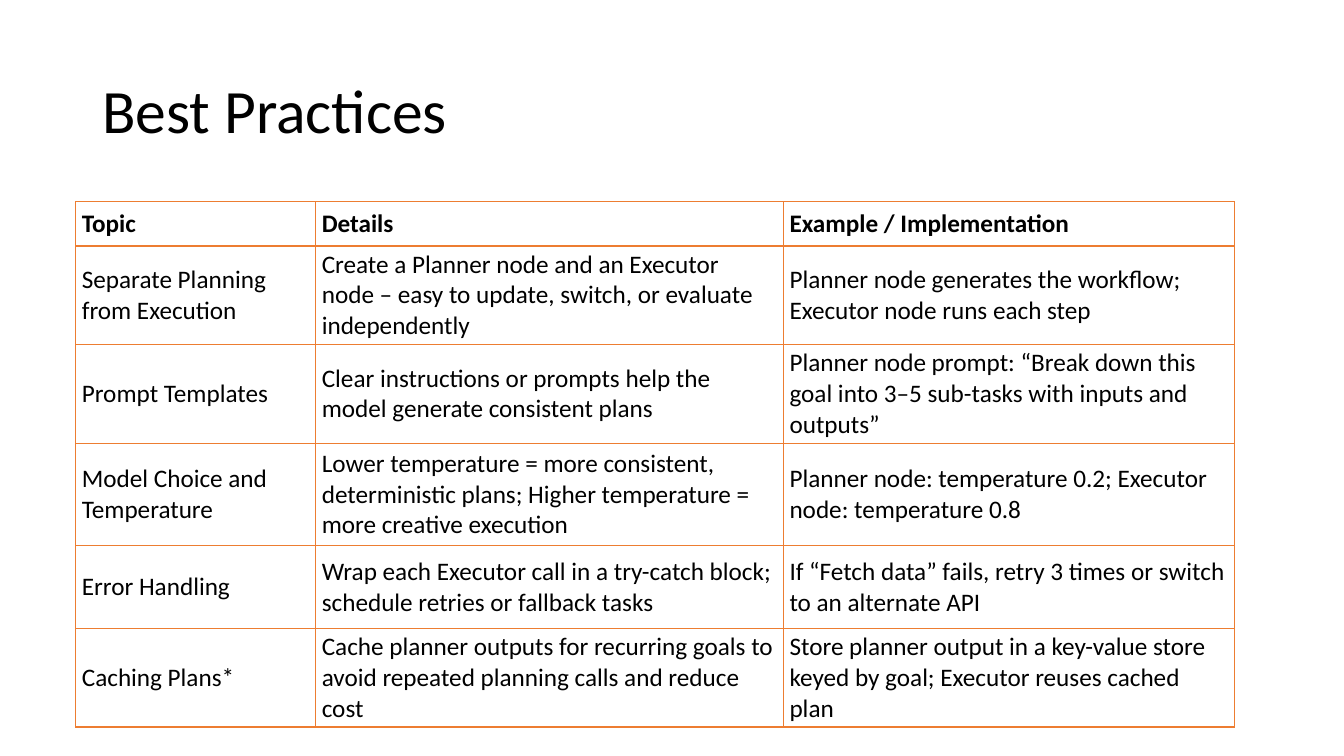
from typing import NamedTuple

from lxml.etree import SubElement
from pptx import Presentation
from pptx.dml.color import RGBColor
from pptx.enum.text import MSO_ANCHOR, PP_ALIGN
from pptx.oxml.ns import qn
from pptx.util import Pt

FONT = "Calibri"
TEXT_COLOUR = "000000"
BORDER_COLOUR = "ED7D31"
BORDER_WIDTH = Pt(1)
COLUMN_WIDTHS = (171.4, 334.1, 322.5)


class Practice(NamedTuple):
    topic: str
    details: str
    example: str
    height: float = 59


PRACTICES = [
    Practice("Topic", "Details", "Example / Implementation", 31.7),
    Practice(
        "Separate Planning from Execution",
        "Create a Planner node and an Executor node – easy to update, switch, or evaluate independently",
        "Planner node generates the workflow; Executor node runs each step",
    ),
    Practice(
        "Prompt Templates",
        "Clear instructions or prompts help the model generate consistent plans",
        "Planner node prompt: “Break down this goal into 3–5 sub-tasks with inputs and outputs”",
    ),
    Practice(
        "Model Choice and Temperature",
        "Lower temperature = more consistent, deterministic plans; Higher temperature = more creative execution",
        "Planner node: temperature 0.2; Executor node: temperature 0.8",
        73.4,
    ),
    Practice(
        "Error Handling",
        "Wrap each Executor call in a try-catch block; schedule retries or fallback tasks",
        "If “Fetch data” fails, retry 3 times or switch to an alternate API",
    ),
    Practice(
        "Caching Plans*",
        "Cache planner outputs for recurring goals to avoid repeated planning calls and reduce cost",
        "Store planner output in a key-value store keyed by goal; Executor reuses cached plan",
    ),
]


def set_colour(target, value: str) -> None:
    target.rgb = RGBColor.from_string(value)


def format_text(text_frame, size: float, bold: bool = False) -> None:
    for para in text_frame.paragraphs:
        para.alignment = PP_ALIGN.LEFT
        for span in para.runs:
            span.font.name = FONT
            span.font.size = Pt(size)
            span.font.bold = bold
            set_colour(span.font.color, TEXT_COLOUR)


def add_borders(cell) -> None:
    properties = cell._tc.get_or_add_tcPr()
    for position, side in enumerate(("lnL", "lnR", "lnT", "lnB")):
        line = SubElement(properties, qn(f"a:{side}"), w=str(BORDER_WIDTH))
        fill = SubElement(line, qn("a:solidFill"))
        SubElement(fill, qn("a:srgbClr"), val=BORDER_COLOUR)
        properties.insert(position, line)


def fill_cell(cell, text: str, bold: bool) -> None:
    cell.text_frame.text = text
    cell.vertical_anchor = MSO_ANCHOR.MIDDLE
    cell.margin_left = cell.margin_right = Pt(4.5)
    cell.margin_top = cell.margin_bottom = Pt(2.25)
    cell.fill.background()
    format_text(cell.text_frame, 18, bold)
    add_borders(cell)


def add_title(page, text: str) -> None:
    title = page.shapes.title
    title.left, title.top, title.width, title.height = Pt(66), Pt(28.75), Pt(828), Pt(104.4)
    title.text_frame.text = text
    title.text_frame.vertical_anchor = MSO_ANCHOR.MIDDLE
    title.text_frame.paragraphs[0].line_spacing = 0.9
    format_text(title.text_frame, 44)


def add_practices(page, practices: list[Practice]) -> None:
    height = sum(practice.height for practice in practices)
    frame = page.shapes.add_table(
        len(practices), len(COLUMN_WIDTHS), Pt(54), Pt(144), Pt(sum(COLUMN_WIDTHS)), Pt(height)
    )
    table = frame.table
    table.first_row = table.horz_banding = False
    for column, width in zip(table.columns, COLUMN_WIDTHS):
        column.width = Pt(width)
    for index, (row, practice) in enumerate(zip(table.rows, practices)):
        row.height = Pt(practice.height)
        texts = (practice.topic, practice.details, practice.example)
        for cell, text in zip(row.cells, texts):
            fill_cell(cell, text, bold=index == 0)


def main() -> None:
    deck = Presentation()
    deck.slide_width, deck.slide_height = Pt(960), Pt(540)
    page = deck.slides.add_slide(deck.slide_layouts[5])
    add_title(page, "Best Practices")
    add_practices(page, PRACTICES)
    deck.save("out.pptx")


if __name__ == "__main__":
    main()
